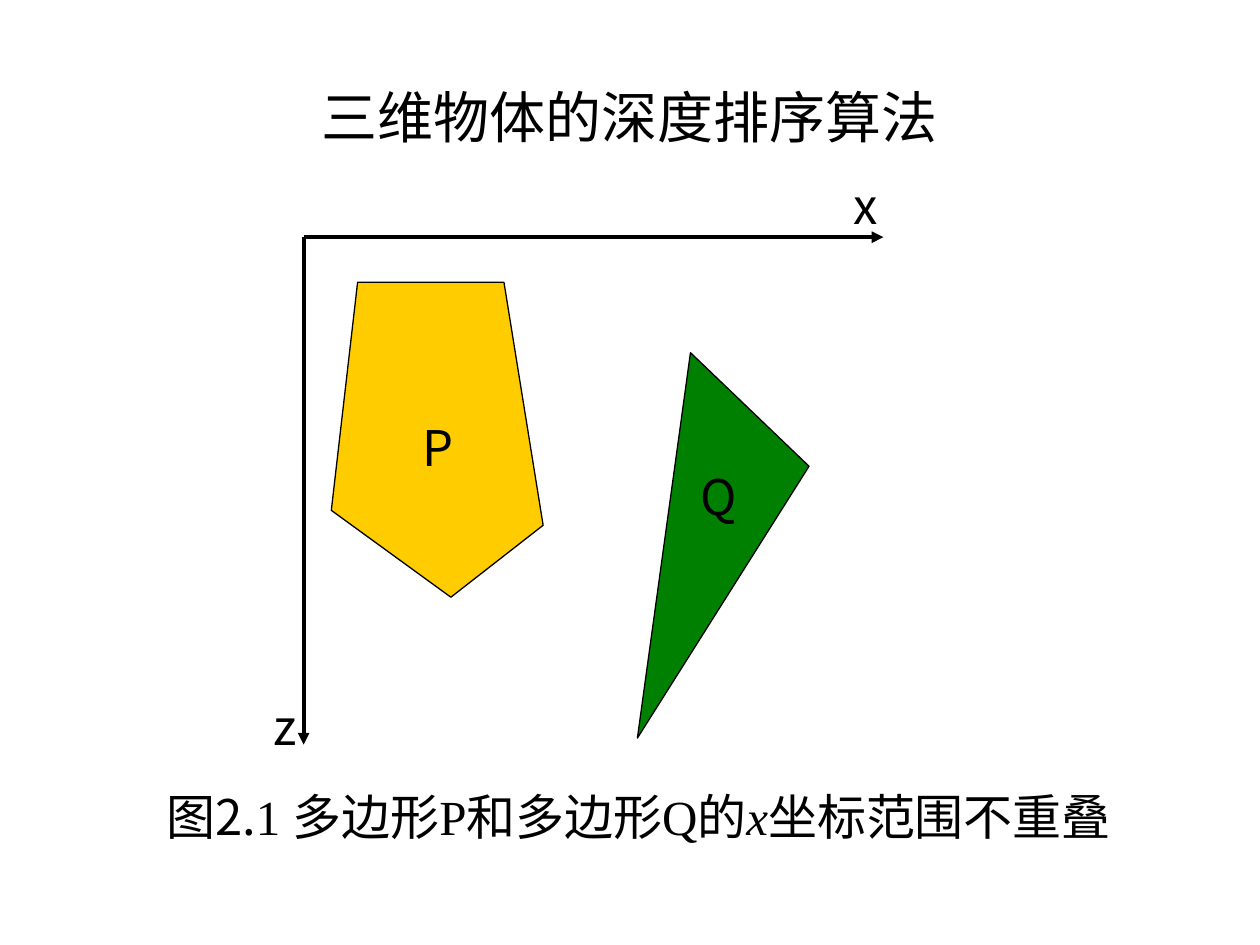
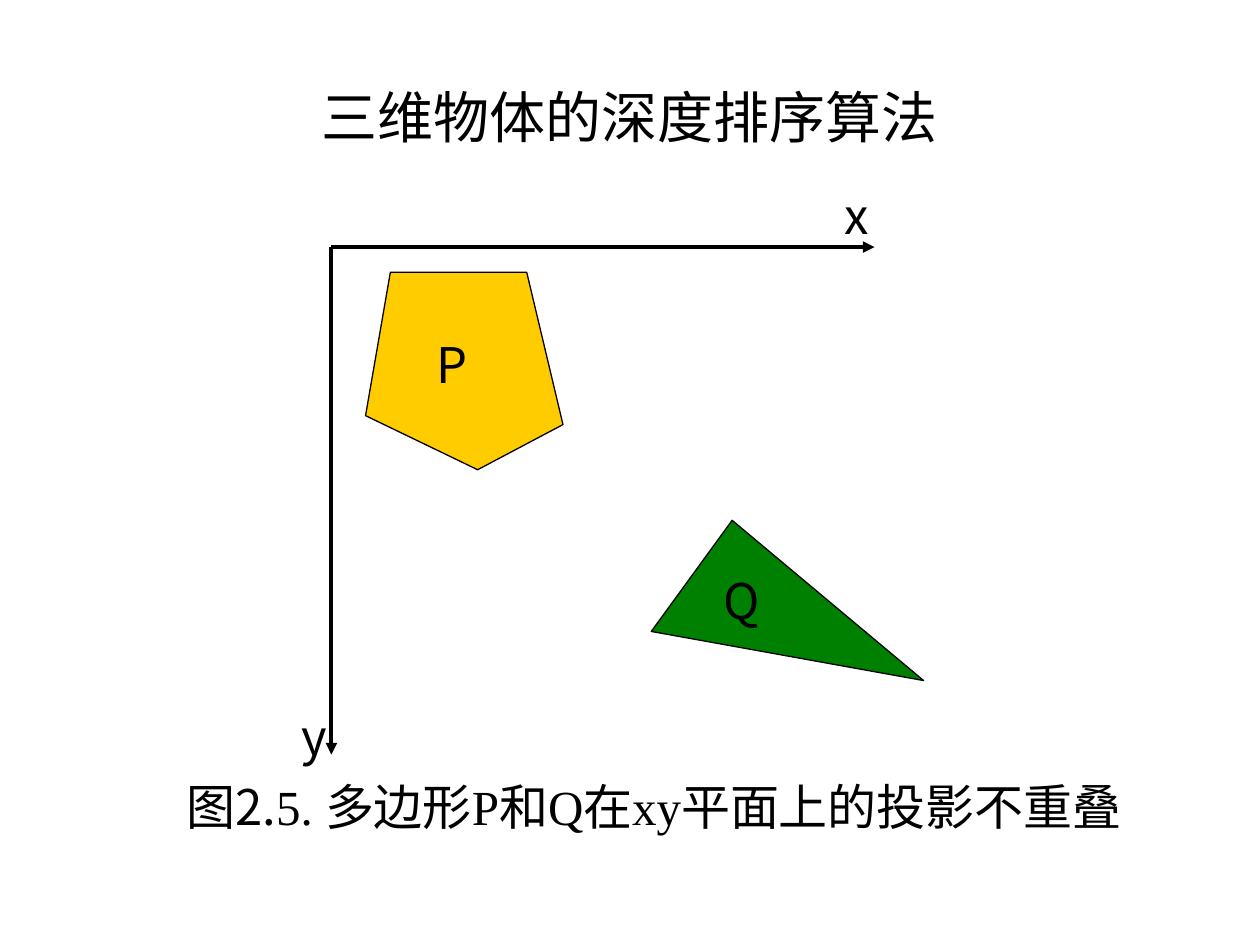
import lxml.etree
import pptx
import pptx.dml.color
import pptx.enum.shapes
import pptx.enum.text
import pptx.oxml.ns
import pptx.util
from pptx.util import Cm

SANS = "Noto Sans CJK SC"
SERIF = "Times New Roman"
BLACK = "000000"
P_FILL = "FFCC00"
Q_FILL = "008000"
TITLE = "三维物体的深度排序算法"
CAPTION_RIGHT = 23.08

# Coordinates are in centimetres on the page.
X_RANGE = {
    "origin": (6.12, 4.78), "x_end": 17.81, "down_end": 15.01, "down_name": "z",
    "P": [(6.68, 10.29), (9.09, 12.04), (10.95, 10.59), (10.16, 5.69), (7.21, 5.69)],
    "Q": [(16.31, 9.4), (13.92, 7.11), (12.85, 14.88)],
    "P_label": (8.51, 8.41), "Q_label": (14.12, 9.4),
    "caption_at": (3.1, 15.72),
    "caption": [("图2.", SANS, False), ("1 多边形P和多边形Q的", SERIF, False),
                ("x", SERIF, True), ("坐标范围不重叠", SERIF, False)],
}
XY_PROJECTION = {
    "origin": (6.68, 4.98), "x_end": 17.63, "down_end": 15.21, "down_name": "y",
    "P": [(7.37, 8.38), (9.63, 9.47), (11.35, 8.56), (10.62, 5.49), (7.87, 5.49)],
    "Q": [(14.76, 10.49), (13.13, 12.73), (18.62, 13.72)],
    "P_label": (8.81, 6.73), "Q_label": (14.58, 11.48),
    "caption_at": (3.51, 15.52),
    "caption": [("图2.", SANS, False), ("5. 多边形P和Q在xy平面上的投影不重叠", SERIF, False)],
}


def color(hex_text):
    return pptx.dml.color.RGBColor.from_string(hex_text)


def style_paragraph(para, size):
    """Set the shared font, for Latin and for East Asian text."""
    font = para.font
    font.size = pptx.util.Pt(size)
    font.color.rgb = color(BLACK)
    font.name = SANS
    east_asian = lxml.etree.SubElement(font._element, pptx.oxml.ns.qn("a:ea"))
    east_asian.set("typeface", SANS)


def add_title(page):
    box = page.shapes.add_textbox(Cm(1.27), Cm(0.76), Cm(22.86), Cm(3.18))
    frame = box.text_frame
    frame.word_wrap = True
    frame.vertical_anchor = pptx.enum.text.MSO_ANCHOR.MIDDLE
    para = frame.paragraphs[0]
    para.text = TITLE
    para.alignment = pptx.enum.text.PP_ALIGN.CENTER
    style_paragraph(para, 32)


def add_axis(shapes, start, end):
    axis = shapes.add_connector(pptx.enum.shapes.MSO_CONNECTOR.STRAIGHT,
                                *map(Cm, start + end))
    axis.line.color.rgb = color(BLACK)
    axis.line.width = pptx.util.Pt(2.25)
    line = axis.line._get_or_add_ln()
    lxml.etree.SubElement(line, pptx.oxml.ns.qn("a:tailEnd"), type="triangle")
    lxml.etree.SubElement(axis._element.spPr, pptx.oxml.ns.qn("a:effectLst"))


def add_polygon(shapes, corners, fill):
    points = [(Cm(x), Cm(y)) for x, y in corners]
    builder = shapes.build_freeform(*points[0])
    builder.add_line_segments(points[1:], close=True)
    polygon = builder.convert_to_shape()
    polygon.shadow.inherit = False
    polygon.fill.solid()
    polygon.fill.fore_color.rgb = color(fill)
    polygon.line.color.rgb = color(BLACK)
    polygon.line.width = pptx.util.Pt(0.75)


def add_label(shapes, text, left, top):
    box = shapes.add_textbox(Cm(left), Cm(top), Cm(0.9), Cm(1.5))
    frame = box.text_frame
    frame.word_wrap = True
    frame.margin_left = frame.margin_right = frame.margin_top = frame.margin_bottom = 0
    para = frame.paragraphs[0]
    para.text = text
    para.line_spacing = pptx.util.Pt(34)
    style_paragraph(para, 28)


def add_diagram(page, view):
    """Draw the two axes and the polygons P and Q as one group."""
    shapes = page.shapes.add_group_shape().shapes
    left, top = view["origin"]
    add_axis(shapes, (left, top), (left, view["down_end"]))
    add_axis(shapes, (left, top), (view["x_end"], top))
    add_label(shapes, view["down_name"], left - 0.6, view["down_end"] - 0.99)
    add_label(shapes, "x", view["x_end"] - 0.6, top - 1.25)
    for name, fill in (("P", P_FILL), ("Q", Q_FILL)):
        add_polygon(shapes, view[name], fill)
        add_label(shapes, name, *view[name + "_label"])


def add_caption(page, view):
    left, top = view["caption_at"]
    box = page.shapes.add_textbox(Cm(left), Cm(top), Cm(CAPTION_RIGHT - left), Cm(1.45))
    box.text_frame.word_wrap = True
    para = box.text_frame.paragraphs[0]
    para.line_spacing = pptx.util.Pt(34)
    style_paragraph(para, 28)
    for text, font_name, italic in view["caption"]:
        span = para.add_run()
        span.text = text
        span.font.name = font_name
        span.font.italic = italic


def main():
    deck = pptx.Presentation()
    deck.slide_width, deck.slide_height = Cm(25.4), Cm(19.05)
    for view in (X_RANGE, XY_PROJECTION):
        page = deck.slides.add_slide(deck.slide_layouts[6])
        add_title(page)
        add_diagram(page, view)
        add_caption(page, view)
    deck.save("out.pptx")


if __name__ == "__main__":
    main()
